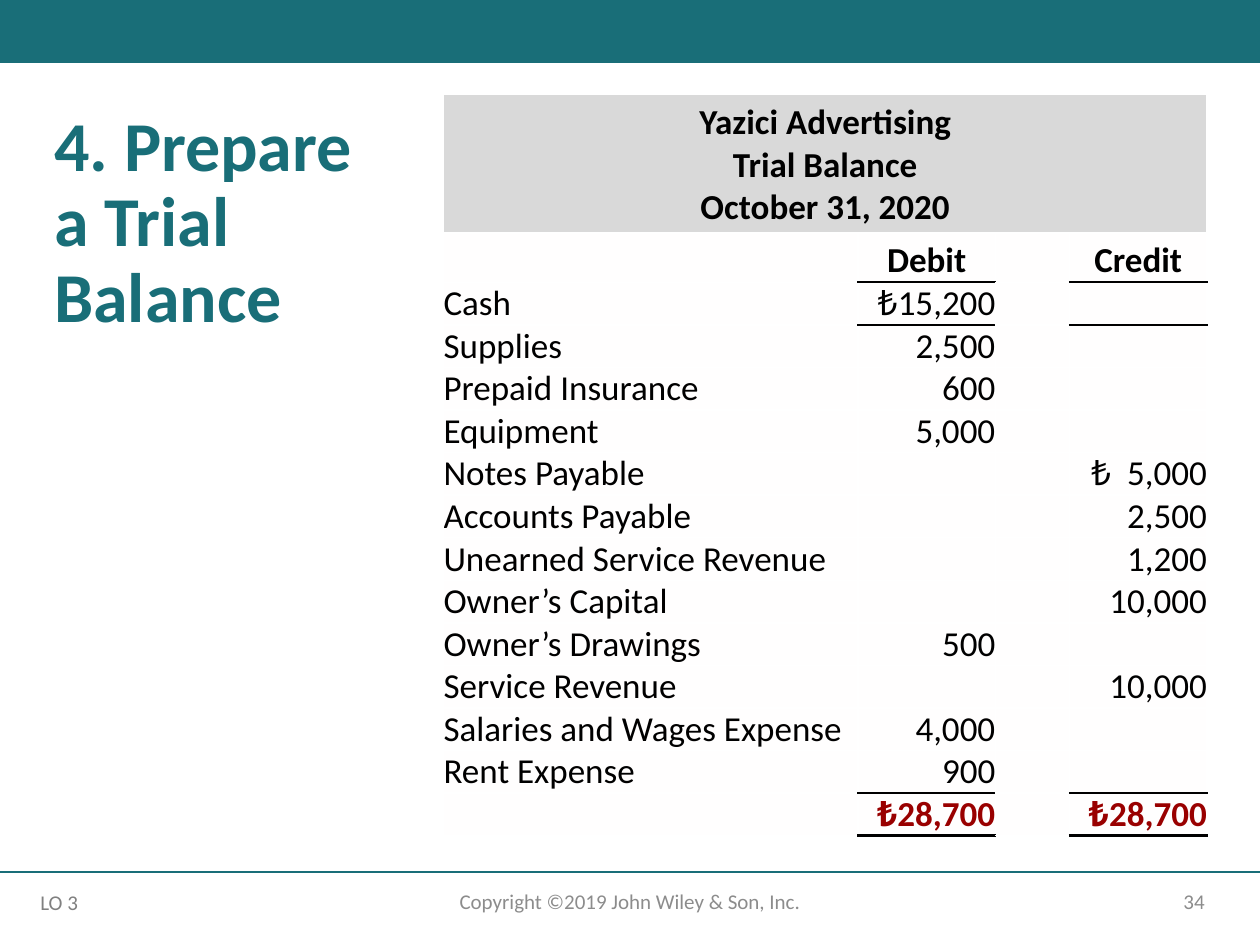
from dataclasses import dataclass

from lxml import etree
from pptx import Presentation
from pptx.dml.color import RGBColor
from pptx.enum.shapes import MSO_CONNECTOR, MSO_SHAPE
from pptx.enum.text import MSO_ANCHOR, MSO_AUTO_SIZE, PP_ALIGN
from pptx.oxml.ns import qn
from pptx.util import Inches, Pt

LEFT, CENTER, RIGHT = PP_ALIGN.LEFT, PP_ALIGN.CENTER, PP_ALIGN.RIGHT
TOP, MIDDLE, BOTTOM = MSO_ANCHOR.TOP, MSO_ANCHOR.MIDDLE, MSO_ANCHOR.BOTTOM
RECTANGLE, STRAIGHT = MSO_SHAPE.RECTANGLE, MSO_CONNECTOR.STRAIGHT
FIXED_SIZE = MSO_AUTO_SIZE.NONE

GRID_COLUMNS, GRID_ROWS = 100, 75
SLIDE_WIDTH, SLIDE_HEIGHT = Inches(10), Inches(7.5)


@dataclass(frozen=True)
class Theme:
    font: str = "Calibri"
    teal: str = "196E78"
    black: str = "000000"
    white: str = "FFFFFF"
    cell: str = "FFFEFE"
    heading: str = "D9D9D9"
    total: str = "990000"
    footer: str = "8C8C8C"
    objective: str = "808080"
    title_size: float = 40
    table_size: float = 20
    footer_size: float = 12
    thin: float = 1
    rule: float = 1.5


def apply(target, values):
    for name, value in values.items():
        setattr(target, name, value)


class SlideBuilder:
    def __init__(self, presentation, theme):
        self.theme = theme
        self.slide = presentation.slides.add_slide(presentation.slide_layouts[1])

    def box(self, left, top, width, height):
        """Turn grid columns and rows into slide lengths."""
        across, down = SLIDE_WIDTH / GRID_COLUMNS, SLIDE_HEIGHT / GRID_ROWS
        return [int(left * across), int(top * down), int(width * across), int(height * down)]

    def set_text(self, frame, text, size, color, bold=False, align=LEFT, spacing=1.0):
        frame.text = text
        for paragraph in frame.paragraphs:
            apply(paragraph, {"alignment": align, "line_spacing": spacing,
                              "space_before": Pt(0)})
            for run in paragraph.runs:
                apply(run.font, {"name": self.theme.font, "size": Pt(size), "bold": bold})
                run.font.color.rgb = RGBColor.from_string(color)

    def placeholder(self, index, place, text, size, color, inset=0.1, **style):
        shape = self.slide.placeholders[index]
        apply(shape, dict(zip(("left", "top", "width", "height"), self.box(*place))))
        apply(shape.text_frame, {"word_wrap": True, "auto_size": FIXED_SIZE,
                                 "vertical_anchor": TOP, "margin_left": Inches(inset),
                                 "margin_right": Inches(inset)})
        self.set_text(shape.text_frame, text, size, color, **style)
        return shape

    def title(self, place, text):
        self.placeholder(0, place, text, self.theme.title_size, self.theme.teal,
                         bold=True, spacing=0.9)

    def objective(self, place, text):
        shape = self.placeholder(1, place, text, self.theme.footer_size,
                                 self.theme.objective, inset=0)
        properties = shape.text_frame.paragraphs[0]._p.get_or_add_pPr()
        properties.set("marL", str(Inches(0.07)))
        properties.set("indent", "0")
        etree.SubElement(properties, qn("a:buNone"))

    def footer(self, place, text, align):
        shape = self.slide.shapes.add_textbox(*self.box(*place))
        apply(shape.text_frame, {"word_wrap": True, "vertical_anchor": MIDDLE})
        self.set_text(shape.text_frame, text, self.theme.footer_size, self.theme.footer,
                      align=align)

    def band(self, place):
        shape = self.slide.shapes.add_shape(RECTANGLE, *self.box(*place))
        shape.shadow.inherit = False
        shape.fill.solid()
        shape.fill.fore_color.rgb = RGBColor.from_string(self.theme.teal)
        shape.line.fill.background()

    def divider(self, row):
        left, top, width, _ = self.box(0, row, GRID_COLUMNS, 0)
        line = self.slide.shapes.add_connector(STRAIGHT, left, top, left + width, top)
        line.line.color.rgb = RGBColor.from_string(self.theme.teal)
        line.line.width = Pt(self.theme.thin)
        etree.SubElement(line._element.spPr, qn("a:effectLst"))

    def borders(self, cell, ruled_sides):
        properties = cell._tc.get_or_add_tcPr()
        for side in "LRTB":
            ruled = side in ruled_sides
            width = self.theme.rule if ruled else self.theme.thin
            line = etree.SubElement(properties, qn(f"a:ln{side}"), w=str(Pt(width)))
            fill = etree.SubElement(line, qn("a:solidFill"))
            etree.SubElement(fill, qn("a:srgbClr"),
                             val=self.theme.black if ruled else self.theme.white)

    def cell(self, cell, text, fill, ruled_sides="", anchor=BOTTOM, margins=(0, 0), **style):
        self.borders(cell, ruled_sides)
        cell.fill.solid()
        cell.fill.fore_color.rgb = RGBColor.from_string(fill)
        apply(cell, {"margin_left": 0, "margin_right": 0, "vertical_anchor": anchor,
                     "margin_top": Inches(margins[0]), "margin_bottom": Inches(margins[1])})
        style = {"color": self.theme.black, **style}
        self.set_text(cell.text_frame, text, self.theme.table_size, **style)

    def trial_balance(self, place, widths, heights, heading, rows, ruled_rows):
        """Draw the statement; amount columns get a rule below each of ruled_rows."""
        shape = self.slide.shapes.add_table(len(heights), len(widths), *self.box(*place))
        table = shape.table
        apply(table, {"first_row": False, "horz_banding": False})
        for column, width in zip(table.columns, widths):
            column.width = self.box(0, 0, width, 0)[2]
        for row, height in zip(table.rows, heights):
            row.height = self.box(0, 0, 0, height)[3]

        table.cell(0, 0).merge(table.cell(0, len(widths) - 1))
        self.cell(table.cell(0, 0), heading, self.theme.heading, anchor=MIDDLE,
                  margins=(0.05, 0.05), bold=True, align=CENTER)

        last = len(rows)
        for number, (account, debit, credit) in enumerate(rows, start=1):
            is_label, is_total = number == 1, number == last
            sides = ("T" if number - 1 in ruled_rows else "") + \
                    ("B" if number in ruled_rows else "")
            amount_style = {
                "bold": is_label or is_total,
                "align": CENTER if is_label else RIGHT,
                "color": self.theme.total if is_total else self.theme.black,
                "ruled_sides": sides,
            }
            for index, text in enumerate((account, debit, "", credit)):
                style = amount_style if index in (1, 3) else {}
                self.cell(table.cell(number, index), text, self.theme.cell, **style)


ROWS = [
    ("", "Debit", "Credit"),
    ("Cash", "₺15,200", ""),
    ("Supplies", "2,500", ""),
    ("Prepaid Insurance", "600", ""),
    ("Equipment", "5,000", ""),
    ("Notes Payable", "", "₺  5,000"),
    ("Accounts Payable", "", "2,500"),
    ("Unearned Service Revenue", "", "1,200"),
    ("Owner’s Capital", "", "10,000"),
    ("Owner’s Drawings", "500", ""),
    ("Service Revenue", "", "10,000"),
    ("Salaries and Wages Expense", "4,000", ""),
    ("Rent Expense", "900", ""),
    ("", "₺28,700", "₺28,700"),
]


def main():
    presentation = Presentation()
    apply(presentation, {"slide_width": SLIDE_WIDTH, "slide_height": SLIDE_HEIGHT})
    builder = SlideBuilder(presentation, Theme())
    builder.band((0, 0, GRID_COLUMNS, 5))
    builder.divider(69.2)
    builder.footer((70.6, 69.5, 26, 4), "34", RIGHT)
    builder.footer((33.1, 69.5, 33.8, 4), "Copyright ©2019 John Wiley & Son, Inc.", CENTER)
    builder.objective((2.5, 70.1, 5.3, 3), "LO 3")
    builder.title((3.3, 8.3, 28.3, 19.2), "4. Prepare a Trial Balance")
    builder.trial_balance(
        place=(35.2, 7.5, 60.6, 58.8),
        widths=(32.9, 10.9, 5.9, 10.9),
        heights=[10.9, 3.9] + [3.38] * (len(ROWS) - 1),
        heading="Yazici Advertising\nTrial Balance\nOctober 31, 2020",
        rows=ROWS,
        ruled_rows=(1, 2, len(ROWS) - 1, len(ROWS)),
    )
    presentation.save("out.pptx")


if __name__ == "__main__":
    main()
